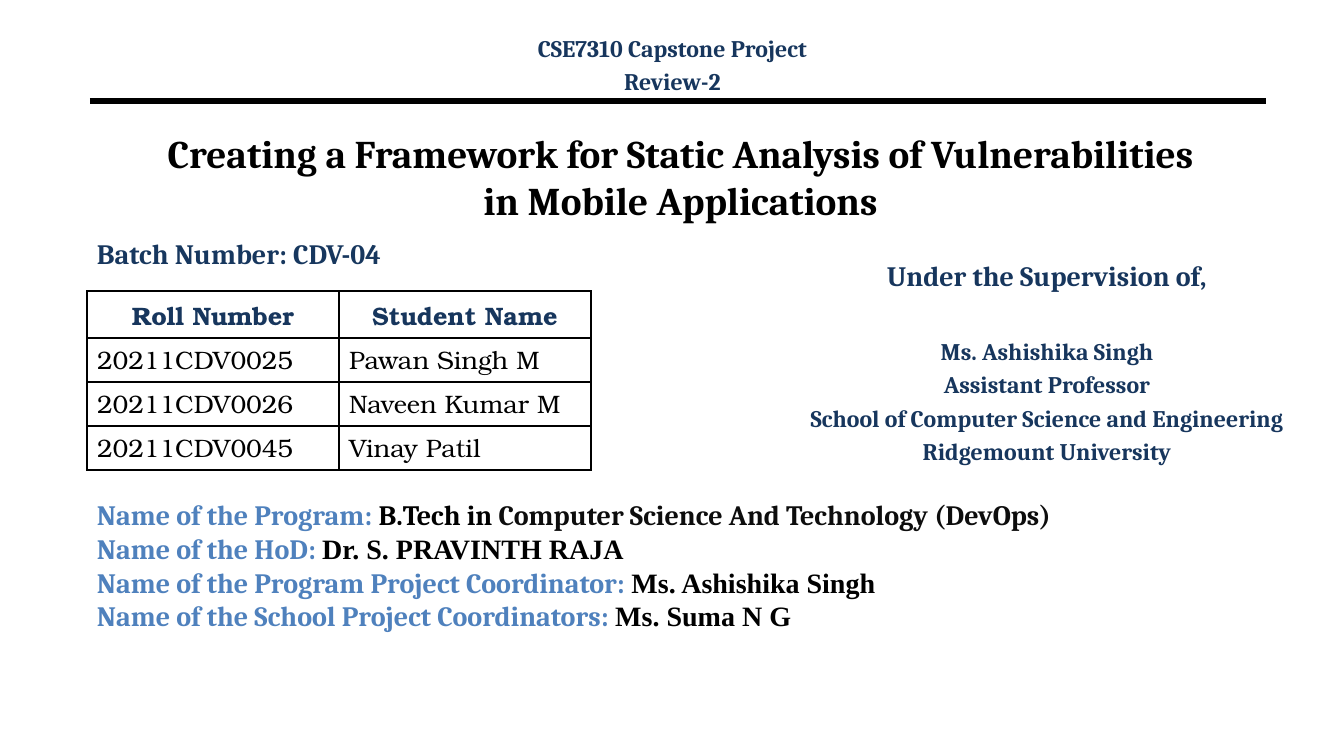
from lxml.etree import SubElement
from pptx import Presentation
from pptx.dml.color import RGBColor
from pptx.enum.shapes import MSO_CONNECTOR
from pptx.enum.text import MSO_ANCHOR, PP_ALIGN
from pptx.oxml import parse_xml
from pptx.oxml.ns import nsdecls, qn
from pptx.util import Emu, Pt

# Content
COURSE = ["CSE7310 Capstone Project", "Review-2"]
TITLE = "Creating a Framework for Static Analysis of Vulnerabilities in Mobile Applications"
BATCH = "Batch Number: CDV-04"
SUPERVISION = "Under the Supervision of,"
SUPERVISOR = [
    "Ms. Ashishika Singh",
    "Assistant Professor",
    "School of Computer Science and Engineering",
    "Ridgemount University",
]
STUDENTS = [
    ("Roll Number", "Student Name"),
    ("20211CDV0025", "Pawan Singh M"),
    ("20211CDV0026", "Naveen Kumar M"),
    ("20211CDV0045", "Vinay Patil"),
]
PROGRAM = ("Name of the Program: ", "B.Tech in ", "Computer Science And Technology (DevOps)")
PEOPLE = [
    ("Name of the HoD: ", "Dr. S. PRAVINTH RAJA"),
    ("Name of the Program Project Coordinator: ", "Ms. Ashishika Singh"),
    ("Name of the School Project Coordinators: ", "Ms. Suma N G"),
]

# Theme: font, size, bold, colour
THEME = {
    "title": ("Cambria", 28, True, "000000"),
    "batch": ("Cambria", 20, True, "17375E"),
    "heading": ("Cambria", 20, True, "17365D"),
    "detail": ("Cambria", 17, True, "17365D"),
    "label": ("Cambria", 20, True, "4F81BD"),
    "degree": ("Cambria", 20, True, "000000"),
    "subject": ("Cambria", 20, True, "0D0D0D"),
    "person": ("Times New Roman", 20, True, "000000"),
    "table head": ("TeX Gyre Bonum", 18, True, "17365D"),
    "table body": ("TeX Gyre Bonum", 18, False, "000000"),
}
RULE_COLOUR = "000000"

# Layout in px
SCALE = 914400 / 100.8
SLIDE_SIZE = (1344, 756)
RULE = (90, 101, 1266, 101)
TABLE_BOX = (87, 291, 504, 179)
ROW_HEIGHTS = (47, 44, 44, 44)


def px(*lengths):
    return [Emu(round(length * SCALE)) for length in lengths]


def fill_paragraph(paragraph, runs, align=PP_ALIGN.LEFT, before=0):
    formats = {"alignment": align, "space_before": Pt(before)}
    for name, value in formats.items():
        setattr(paragraph, name, value)
    for text, style in runs:
        run = paragraph.add_run()
        run.text = text
        family, size, bold, colour = THEME[style]
        for name, value in {"name": family, "size": Pt(size), "bold": bold}.items():
            setattr(run.font, name, value)
        run.font.color.rgb = RGBColor.from_string(colour)


def add_text(slide, box, lines, align=PP_ALIGN.LEFT, anchor=MSO_ANCHOR.TOP):
    """Each line is (runs, points of space before)."""
    frame = slide.shapes.add_textbox(*px(*box)).text_frame
    for name, value in {"word_wrap": True, "vertical_anchor": anchor}.items():
        setattr(frame, name, value)
    for index, (runs, before) in enumerate(lines):
        paragraph = frame.add_paragraph() if index else frame.paragraphs[0]
        fill_paragraph(paragraph, runs, align, before)


def add_borders(cell):
    properties = cell._tc.get_or_add_tcPr()
    for index, side in enumerate(("lnL", "lnR", "lnT", "lnB")):
        properties.insert(index, parse_xml(
            f'<a:{side} {nsdecls("a")} w="12700"><a:solidFill>'
            f'<a:srgbClr val="{RULE_COLOUR}"/></a:solidFill></a:{side}>'))


def add_students(slide):
    table = slide.shapes.add_table(len(STUDENTS), len(STUDENTS[0]), *px(*TABLE_BOX)).table
    table.first_row = table.horz_banding = False
    for row, height in zip(table.rows, px(*ROW_HEIGHTS)):
        row.height = height
    for row_index, values in enumerate(STUDENTS):
        head = row_index == 0
        style = "table head" if head else "table body"
        align = PP_ALIGN.CENTER if head else PP_ALIGN.LEFT
        for column_index, value in enumerate(values):
            cell = table.cell(row_index, column_index)
            cell.fill.background()
            cell.vertical_anchor = MSO_ANCHOR.BOTTOM if head else MSO_ANCHOR.TOP
            add_borders(cell)
            fill_paragraph(cell.text_frame.paragraphs[0], [(value, style)], align)


def main():
    presentation = Presentation()
    presentation.slide_width, presentation.slide_height = px(*SLIDE_SIZE)
    slide = presentation.slides.add_slide(presentation.slide_layouts[6])

    # Header rule
    rule = slide.shapes.add_connector(MSO_CONNECTOR.STRAIGHT, *px(*RULE))
    rule.line.width = Pt(4.5)
    rule.line.color.rgb = RGBColor.from_string(RULE_COLOUR)
    SubElement(rule._element.spPr, qn("a:effectLst"))

    # Title, batch and course
    add_text(slide, (138, 137, 1085, 79), [([(TITLE, "title")], 0)],
             PP_ALIGN.CENTER, MSO_ANCHOR.MIDDLE)
    add_text(slide, (87, 232, 437, 60), [([(BATCH, "batch")], 0)])
    course = [([(text, "detail")], 3.1 if index else 0) for index, text in enumerate(COURSE)]
    add_text(slide, (454, 29, 437, 60), course, PP_ALIGN.CENTER)

    # Supervisor, set apart from its heading
    supervisor = [([(SUPERVISION, "heading")], 0)]
    supervisor += [([(text, "detail")], 3.4 if index else 31.4)
                   for index, text in enumerate(SUPERVISOR)]
    add_text(slide, (743, 254, 608, 223), supervisor, PP_ALIGN.CENTER)

    # Students
    add_students(slide)

    # Program and coordinators
    program = [(list(zip(PROGRAM, ("label", "degree", "subject"))), 0)]
    program += [([(label, "label"), (name, "person")], 0) for label, name in PEOPLE]
    add_text(slide, (87, 493, 1186, 172), program)

    presentation.save("out.pptx")


if __name__ == "__main__":
    main()
